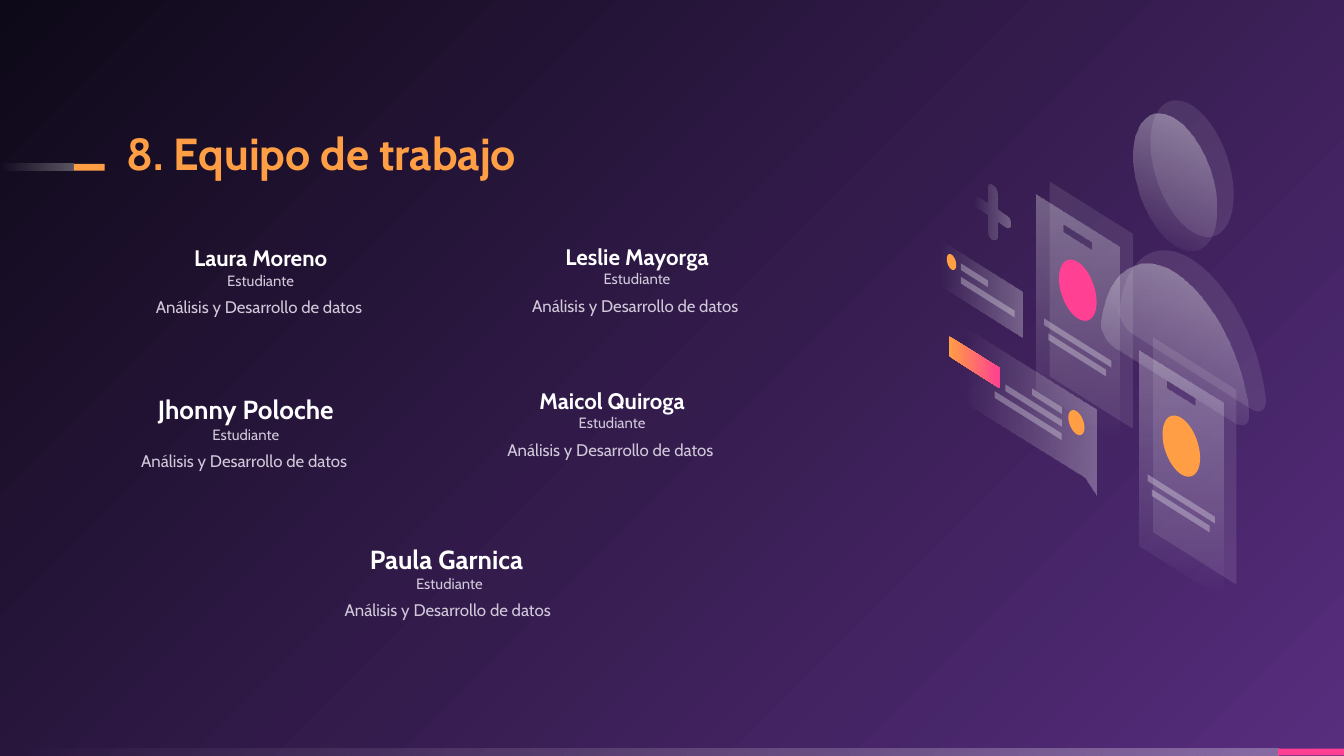
import math
from dataclasses import dataclass
from typing import Any
from pptx import Presentation, util as u
from pptx.dml.color import RGBColor
from pptx.enum import shapes as kinds, text
from pptx.oxml import parse_xml
from pptx.oxml.ns import nsdecls, qn

WHITE = RGBColor(0xFF, 0xFF, 0xFF)
MUTED = RGBColor(0xD1, 0xC8, 0xDA)
ORANGE = RGBColor(0xFF, 0x9E, 0x44)
PINK = RGBColor(0xFF, 0x40, 0x93)
PURPLE = RGBColor(0x57, 0x2D, 0x7E)
NIGHT = RGBColor(0x0E, 0x09, 0x18)
SLOPE = 0.63  # drop per inch to the right on every tilted face
TEAM = [  # name, size, left, top, width
    ("Laura Moreno", 12, 1.03, 1.82, 1.82),
    ("Jhonny Poloche", 14, 1.03, 2.93, 1.6),
    ("Leslie Mayorga", 12, 3.84, 1.81, 1.8),
    ("Maicol Quiroga", 12, 3.64, 2.88, 1.83),
    ("Paula Garnica ", 14, 2.53, 4.04, 1.63),
]
# Outlines: a pair is a straight step, six numbers are a Bezier curve.
BODY = [(0.54, 0), (0.27, -0.17, 0.04, -0.01, 0, 0.37),
        (-0.01, 0.43, 0.04, 0.52, 0.09, 0.55), (0.99, 1.12),
        (1.05, 1.15, 1.09, 1.12, 1.09, 1.05),
        (1.05, 0.63, 0.82, 0.18, 0.54, 0)]
PLUS = [(0.14, 0), (0.16, 0.01, 0.18, 0.04, 0.18, 0.07), (0.18, 0.18),
        (0.24, 0.22), (0.26, 0.23, 0.28, 0.26, 0.28, 0.29),
        (0.28, 0.31, 0.26, 0.32, 0.24, 0.31), (0.18, 0.27), (0.18, 0.38),
        (0.18, 0.4, 0.16, 0.41, 0.14, 0.4),
        (0.12, 0.39, 0.11, 0.36, 0.11, 0.33), (0.11, 0.22), (0.04, 0.18),
        (0.02, 0.17, 0, 0.14, 0, 0.12), (0, 0.09, 0.02, 0.08, 0.04, 0.09),
        (0.11, 0.13), (0.11, 0.02), (0.11, 0, 0.12, -0.01, 0.14, 0)]

def blend(fill, holder, first, last, way):
    """Grade between two (colour, opacity) ends; way is the direction XML."""
    fill.gradient()
    marks = "".join(
        f'<a:gs pos="{place}"><a:srgbClr val="{color}">'
        f'<a:alpha val="{alpha * 1000}"/></a:srgbClr></a:gs>'
        for place, (color, alpha) in ((0, first), (100000, last)))
    holder.replace(holder.find(qn("a:gradFill")), parse_xml(
        f'<a:gradFill {nsdecls("a")} rotWithShape="1">'
        f'<a:gsLst>{marks}</a:gsLst>{way}</a:gradFill>'))

def solid(shape, color, alpha=100):
    shape.shadow.inherit = False
    shape.line.fill.background()
    shape.fill.solid()
    shape.fill.fore_color.rgb = color
    if alpha < 100:
        tone = shape.element.spPr.find(".//" + qn("a:srgbClr"))
        tone.append(parse_xml(
            f'<a:alpha {nsdecls("a")} val="{alpha * 1000}"/>'))

def fade(shape, angle, first=(WHITE, 30), last=(WHITE, 0)):
    shape.shadow.inherit = False
    shape.line.fill.background()
    blend(shape.fill, shape.element.spPr, first, last,
          f'<a:lin ang="{angle * 60000}" scaled="0"/>')

def slab(x, y, w, h):
    """Upright-sided box whose top and bottom follow the slope."""
    drop = w * SLOPE
    return [(x, y), (x + w, y + drop), (x + w, y + drop + h), (x, y + h)]

def disc(x, y, rx, ry):
    turns = [math.radians(a) for a in range(0, 360, 8)]
    return [(x + rx * math.cos(t),
             y + SLOPE * rx * math.cos(t) + ry * math.sin(t)) for t in turns]

def trace(moves):
    """Turn an outline of steps and curves into points."""
    dots = []
    for move in moves:
        if len(move) == 2:
            dots.append(move)
            continue
        ends = list(zip(dots[-1], move[:2], move[2:4], move[4:]))
        for t in (i / 12 for i in range(1, 13)):
            dots.append([a * (1 - t) ** 3 + 3 * b * t * (1 - t) ** 2
                         + 3 * c * t * t * (1 - t) + d * t ** 3
                         for a, b, c, d in ends])
    return dots

@dataclass
class Spot:
    """A place to draw: a shape tree with its own origin."""
    tree: Any
    x: float
    y: float

    def at(self, x, y):
        return Spot(self.tree, self.x + x, self.y + y)

    def draw(self, *loops):
        sets = [[(u.Inches(self.x + x), u.Inches(self.y + y))
                 for x, y in loop] for loop in loops]
        pen = self.tree.build_freeform(*sets[0][0])
        for dots in sets:
            if dots is not sets[0]:
                pen.move_to(*dots[0])
            pen.add_line_segments(dots[1:], close=True)
        return pen.convert_to_shape()

    def bars(self, *rows):
        for row in rows:
            solid(self.draw(slab(*row, 0.05)), WHITE, 30)

def person(spot):
    parts = trace(BODY), disc(0.54, -0.675, 0.31, 0.47)
    for part in parts:
        solid(spot.at(0.13, -0.1).draw(part), WHITE, 10)
    for part in parts:
        fade(spot.draw(part), 110, (WHITE, 40))

def note(spot):
    fade(spot.draw(slab(0, 0, 0.62, 0.34)), 180)
    solid(spot.draw(disc(0.09, 0.17, 0.035, 0.055)), ORANGE)
    spot.bars((0.16, 0.18, 0.2), (0.16, 0.28, 0.4))

def badge(spot, color):
    solid(spot.draw(slab(0.1, -0.1, 0.62, 1.45)), WHITE, 10)
    fade(spot.draw(slab(0, 0, 0.62, 1.45), slab(0.2, 0.22, 0.21, 0.06)), 90)
    spot.bars((0.06, 0.92, 0.5), (0.09, 1.03, 0.43))
    solid(spot.draw(disc(0.31, 0.71, 0.14, 0.21)), color)

def bubble(spot):
    fade(spot.draw([(0.99, 0.62), (0, 0), (0, 0.56), (0.9, 1.12),
                    (0.99, 1.26)]), 180)
    fade(spot.draw(slab(-0.11, 0.07, 0.38, 0.15)), 0,
         (ORANGE, 100), (PINK, 100))
    spot.bars((0.51, 0.46, 0.22), (0.31, 0.43, 0.42), (0.23, 0.48, 0.5))
    solid(spot.draw(disc(0.84, 0.715, 0.06, 0.085)), ORANGE)

def scene(slide, x, y):
    spot = Spot(slide.shapes.add_group_shape().shapes, x, y)
    person(spot.at(1.2, 1.33))
    note(spot.at(-0.01, 1.08))
    badge(spot.at(1.48, 1.91), ORANGE)
    badge(spot.at(0.71, 0.75), PINK)
    bubble(spot.at(0.17, 1.73))
    fade(spot.at(0.24, 0.68).draw(trace(PLUS)), 180)

def strip(slide, y, split, w, color):
    """Thin bar that fades in from the left and ends in a colour."""
    ends = [slide.shapes.add_shape(
        kinds.MSO_SHAPE.RECTANGLE, *map(u.Inches, (x, y, wide, 0.05)))
        for x, wide in ((0, split), (split, w - split))]
    fade(ends[0], 180)
    solid(ends[1], color)

def flat(frame):
    frame.margin_left = frame.margin_right = 0
    frame.margin_top = frame.margin_bottom = 0
    frame.word_wrap, frame.auto_size = True, text.MSO_AUTO_SIZE.NONE

def style(font, size, color, bold=False):
    font.name, font.size, font.bold = "Cabin", u.Pt(size), bold
    font.color.rgb = color

def head(slide, *box):
    title = slide.shapes.title
    title.left, title.top, title.width, title.height = map(u.Inches, box)
    flat(title.text_frame)
    title.text_frame.vertical_anchor = text.MSO_ANCHOR.BOTTOM
    line = title.text_frame.paragraphs[0]
    line.text = "8. Equipo de trabajo"
    line.alignment, line.line_spacing = text.PP_ALIGN.LEFT, 0.9
    style(line.font, 24, ORANGE, True)

def member(slide, name, size, x, y, w):
    frame = slide.shapes.add_textbox(
        *map(u.Inches, (x, y, w, 0.8))).text_frame
    flat(frame)
    top, area = frame.paragraphs[0], frame.add_paragraph()
    top.text = name + "\vEstudiante"
    style(top.runs[0].font, size, WHITE, True)
    area.text = "Análisis y Desarrollo de datos "
    area.space_before = u.Pt(4)
    for line, points in ((top, 8), (area, 9)):
        line.alignment = text.PP_ALIGN.CENTER
        style(line.font, points, MUTED)

deck = Presentation()
deck.slide_width, deck.slide_height = u.Inches(10), u.Inches(10) * 9 // 16
slide = deck.slides.add_slide(deck.slide_layouts[5])
back = slide.background.fill
back.solid()
blend(back, slide.element.find(".//" + qn("p:bgPr")),
      (PURPLE, 100), (NIGHT, 100), '<a:path path="circle">'
      '<a:fillToRect l="100000" t="100000"/></a:path>')
strip(slide, 5.57, 9.51, 10, PINK)
strip(slide, 1.22, 0.55, 0.78, ORANGE)
head(slide, 0.94, 0.91, 5.8, 0.43)
for row in TEAM:
    member(slide, *row)
scene(slide, 7, 0.7)
deck.save("out.pptx")
